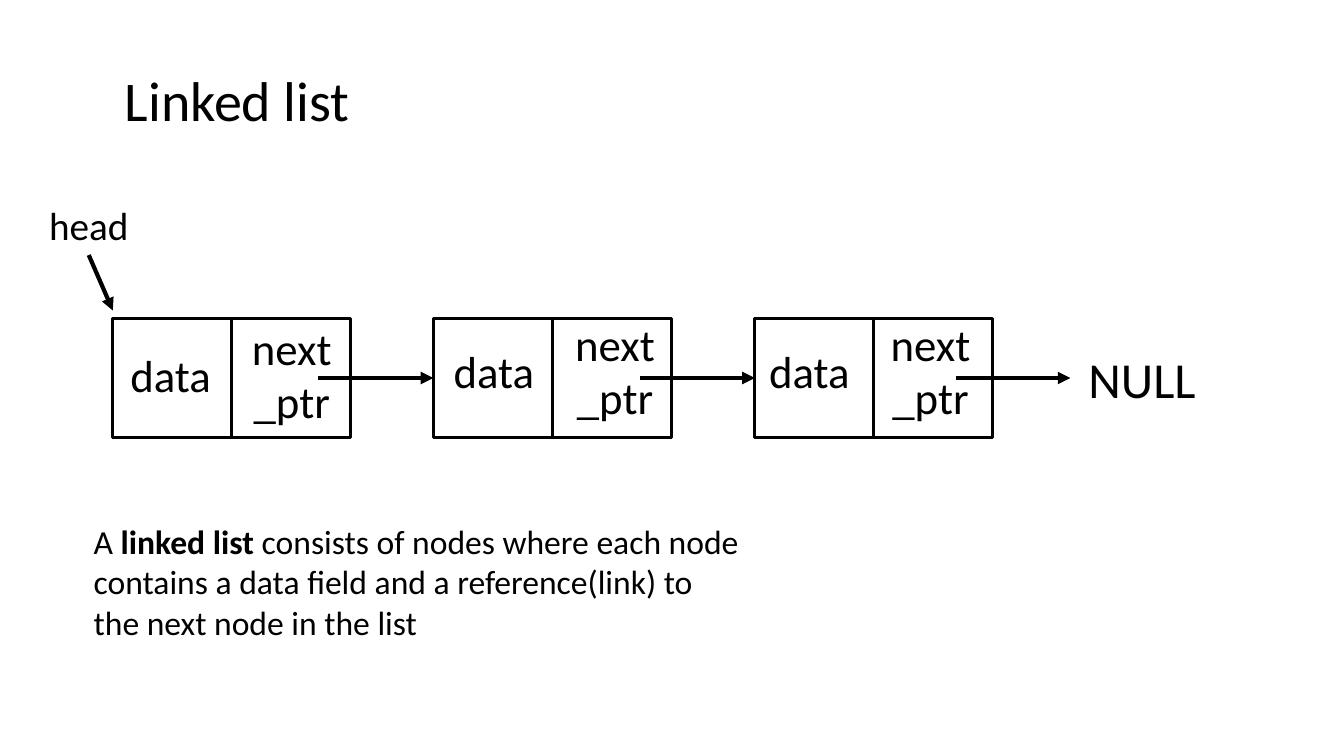
"""Build a slide that explains a linked list with three nodes."""
from lxml import etree
from pptx import Presentation
from pptx.dml.color import RGBColor
from pptx.enum.shapes import MSO_CONNECTOR, MSO_SHAPE
from pptx.enum.text import PP_ALIGN
from pptx.oxml.ns import qn
from pptx.util import Pt

THEME = {
    "font": "Calibri",
    "ink": RGBColor(0, 0, 0),
    "paper": RGBColor(255, 255, 255),
    "title": 40, "null": 36, "field": 32, "head": 28, "body": 24,
    "outline": 2.25, "arrow": 3,
}

LABELS = [
    ("Linked list", "title", (82, 43.2, 749.5, 55.4), PP_ALIGN.LEFT),
    ("head", "head", (20.9, 140.4, 85, 41), PP_ALIGN.CENTER),
    ("NULL", "null", (770.4, 244.8, 170, 51), PP_ALIGN.LEFT),
]
DEFINITION = [
    ("A ", False),
    ("linked list", True),
    (" consists of nodes where each node contains a data field "
     "and a reference(link) to the next node in the list", False),
]
DEFINITION_BOX = (59.8, 368.6, 480, 94.3)

FIELDS = ("data", "next_ptr")
FIELD_HEIGHTS = (46, 85)
FIELD_STEP = 86.5
FIELD_ORIGINS = [(79.4, 244.8), (310.3, 241.9), (535.7, 241.9)]
ARROW_STARTS = (227.5, 457.2, 682.6)
ARROW_LENGTH = 82
HEAD_ARROW = ((63.4, 182.2), (80.6, 221.8))

NODE_LEFT, NODE_TOP, NODE_PITCH = 80.6, 227.5, 229.3
CELL = 85
NODE_MIDDLE = NODE_TOP + CELL / 2


def add_text(s, runs, size, box, align):
    tb = s.shapes.add_textbox(*map(Pt, box))
    tf = tb.text_frame
    tf.word_wrap = True
    p = tf.paragraphs[0]
    p.alignment = align
    for text, bold in runs:
        r = p.add_run()
        r.text = text
        r.font.name = THEME["font"]
        r.font.size = Pt(THEME[size])
        r.font.bold = bold
        r.font.color.rgb = THEME["ink"]


def add_line(s, start, end, width, arrow=False):
    cn = s.shapes.add_connector(MSO_CONNECTOR.STRAIGHT, *map(Pt, start + end))
    cn.line.color.rgb = THEME["ink"]
    cn.line.width = Pt(THEME[width])
    if arrow:
        etree.SubElement(cn.line._get_or_add_ln(), qn("a:tailEnd"), type="triangle")
    etree.SubElement(cn._element.spPr, qn("a:effectLst"))


def add_node(s, left):
    sp = s.shapes.add_shape(MSO_SHAPE.RECTANGLE, Pt(left), Pt(NODE_TOP), Pt(2 * CELL), Pt(CELL))
    sp.shadow.inherit = False
    sp.fill.solid()
    sp.fill.fore_color.rgb = THEME["paper"]
    sp.line.color.rgb = THEME["ink"]
    sp.line.width = Pt(THEME["outline"])
    middle = left + CELL
    add_line(s, (middle, NODE_TOP), (middle, NODE_TOP + CELL), "outline")


def main():
    prs = Presentation()
    prs.slide_width, prs.slide_height = Pt(960), Pt(540)
    s = prs.slides.add_slide(prs.slide_layouts[6])
    for i in range(len(FIELD_ORIGINS)):
        add_node(s, NODE_LEFT + i * NODE_PITCH)
    for x in ARROW_STARTS:
        add_line(s, (x, NODE_MIDDLE), (x + ARROW_LENGTH, NODE_MIDDLE), "arrow", True)
    add_line(s, *HEAD_ARROW, "arrow", True)
    for left, top in FIELD_ORIGINS:
        center = top + FIELD_HEIGHTS[0] / 2
        for i, (field, height) in enumerate(zip(FIELDS, FIELD_HEIGHTS)):
            box = (left + i * FIELD_STEP, center - height / 2, CELL, height)
            add_text(s, [(field, False)], "field", box, PP_ALIGN.CENTER)
    for text, size, box, align in LABELS:
        add_text(s, [(text, False)], size, box, align)
    add_text(s, DEFINITION, "body", DEFINITION_BOX, PP_ALIGN.LEFT)
    prs.save("out.pptx")


if __name__ == "__main__":
    main()
